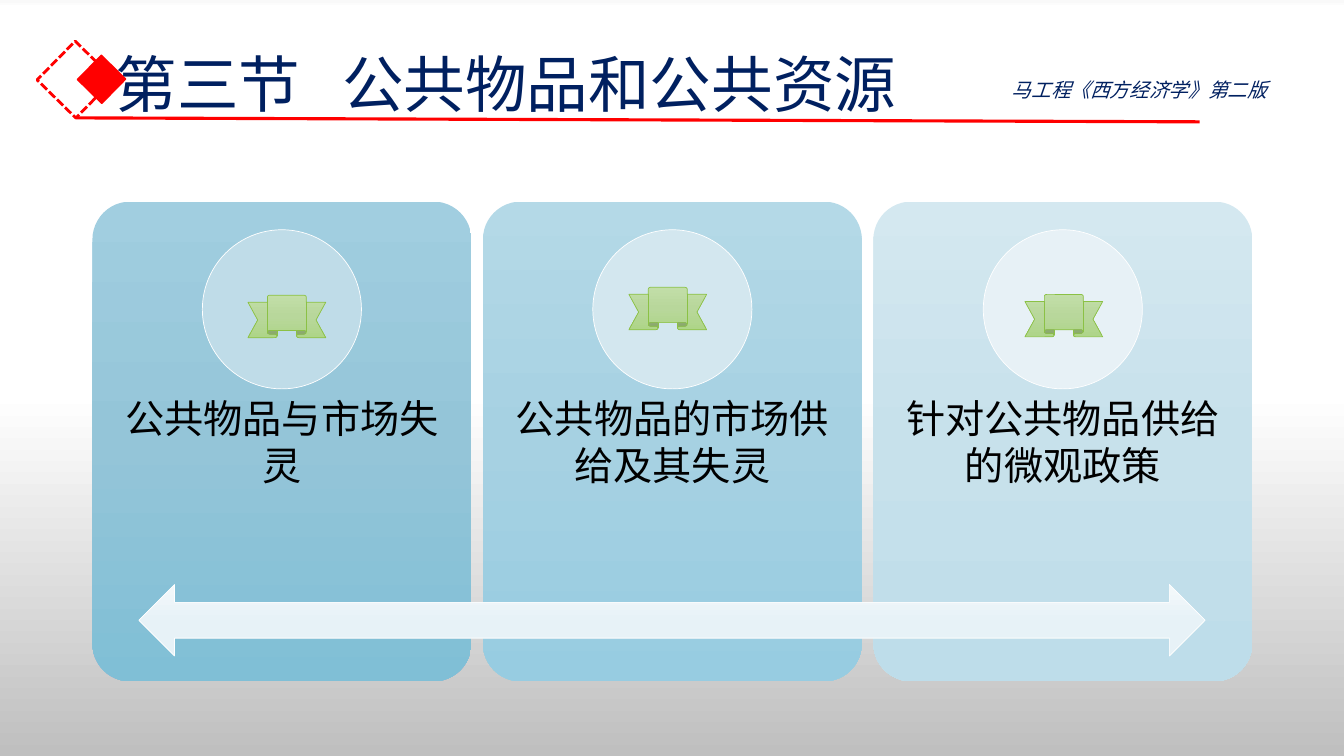
from lxml import etree
from pptx import Presentation
from pptx.dml.color import RGBColor
from pptx.enum.dml import MSO_LINE
from pptx.enum.shapes import MSO_CONNECTOR, MSO_SHAPE
from pptx.enum.text import MSO_ANCHOR, PP_ALIGN
from pptx.oxml.ns import qn
from pptx.util import Cm, Pt

ROUND, OVAL, RECT = MSO_SHAPE.ROUNDED_RECTANGLE, MSO_SHAPE.OVAL, MSO_SHAPE.RECTANGLE
ARROW, RIBBON = MSO_SHAPE.LEFT_RIGHT_ARROW, MSO_SHAPE.UP_RIBBON
DASH, STRAIGHT = MSO_LINE.SQUARE_DOT, MSO_CONNECTOR.STRAIGHT
TOP, MIDDLE = MSO_ANCHOR.TOP, MSO_ANCHOR.MIDDLE
LEFT, CENTER = PP_ALIGN.LEFT, PP_ALIGN.CENTER
CJK, LATIN = "Noto Sans CJK SC", "Calibri"

COLORS = {"navy": "002060", "red": "FF0000", "black": "000000",
          "white": "FFFFFF", "green": "8BC145"}
PAGE = [(0, "F9F9F9"), (1, "FFFFFF"), (52, "FFFFFF"), (100, "BFBFBF")]
ARROW_FILL = [(0, "F4F9FB"), (50, "E7F2F7"), (100, "E4F0F6")]
RIBBON_FILL = [(0, "C2DEA8"), (50, "B8D79B"), (100, "AED588")]

TITLE = "第三节\t公共物品和公共资源"
BOOK = "马工程《西方经济学》第二版"
CARDS = [
    {"text": "公共物品与市场失灵", "circle": "BFDCE8", "ribbon": (6.25, 7.44),
     "fill": [(0, "A1CEE0"), (50, "94C5D8"), (100, "80BFD6")]},
    {"text": "公共物品的市场供给及其失灵", "circle": "D3E7EF", "ribbon": (15.85, 7.24),
     "fill": [(0, "B4D9E7"), (50, "A6D1E2"), (100, "97CCE1")]},
    {"text": "针对公共物品供给的微观政策", "circle": "E7F1F6", "ribbon": (25.83, 7.42),
     "fill": [(0, "D4E8F0"), (50, "C7E1EB"), (100, "BEDDEA")]},
]
CARD_X, CARD_Y, CARD_W, CARD_H, CARD_STEP = 2.33, 5.08, 9.55, 12.09, 9.84
CIRCLE_Y, CIRCLE_D = 5.79, 4.01
CARD_INSET = 0.56


def rgb(value):
    return RGBColor.from_string(value)


def set_gradient(fill, element, stops):
    fill.gradient()
    fill.gradient_angle = 270
    gs_list = next(element.iter(qn("a:gsLst")))
    for gs in list(gs_list):
        gs_list.remove(gs)
    for pos, color in stops:
        gs = etree.SubElement(gs_list, qn("a:gs"), pos=str(pos * 1000))
        etree.SubElement(gs, qn("a:srgbClr"), val=color)


def add_shape(slide, kind, box, fill=None, line=None, width=0.5):
    sp = slide.shapes.add_shape(kind, *map(Cm, box))
    sp.shadow.inherit = False
    if isinstance(fill, list):
        set_gradient(sp.fill, sp._element, fill)
    elif fill:
        sp.fill.solid()
        sp.fill.fore_color.rgb = rgb(fill)
    else:
        sp.fill.background()
    if line:
        sp.line.color.rgb = rgb(line)
        sp.line.width = Pt(width)
    else:
        sp.line.fill.background()
    return sp


def add_text(slide, box, text, size, color, font=CJK, anchor=TOP, align=LEFT):
    sp = slide.shapes.add_textbox(*map(Cm, box))
    tf = sp.text_frame
    tf.word_wrap = True
    tf.vertical_anchor = anchor
    p = tf.paragraphs[0]
    p.text = text
    p.alignment = align
    r = p.runs[0]
    r.font.size = Pt(size)
    r.font.color.rgb = rgb(color)
    r.font.name = font
    etree.SubElement(r.font._element, qn("a:ea"), typeface=CJK)
    return tf


def add_heading(slide):
    tf = add_text(slide, (25.25, 1.85, 8.23, 0.86), BOOK, 14, COLORS["navy"])
    tf.paragraphs[0].runs[0].font.italic = True
    tf = add_text(slide, (2.67, 0.36, 29.21, 3.68), TITLE, 44, COLORS["navy"],
                  anchor=MIDDLE)
    p = tf.paragraphs[0]
    p.line_spacing = 0.9
    tabs = etree.SubElement(p._p.get_or_add_pPr(), qn("a:tabLst"))
    etree.SubElement(tabs, qn("a:tab"), pos=str(Cm(5.7)), algn="l")


def add_cards(slide):
    for i, card in enumerate(CARDS):
        x = CARD_X + i * CARD_STEP
        box = (x, CARD_Y, CARD_W, CARD_H)
        sp = add_shape(slide, ROUND, box, card["fill"])
        sp.adjustments[0] = 0.1
        tf = add_text(slide, box, card["text"], 28, COLORS["black"], LATIN, MIDDLE, CENTER)
        tf.margin_left = tf.margin_right = Cm(CARD_INSET)
        tf.margin_top = tf.margin_bottom = Cm(CARD_INSET)
        circle_x = x + (CARD_W - CIRCLE_D) / 2
        add_shape(slide, OVAL, (circle_x, CIRCLE_Y, CIRCLE_D, CIRCLE_D),
                  card["circle"], COLORS["white"])
    add_shape(slide, ARROW, (3.5, 14.73, 26.87, 1.8), ARROW_FILL, COLORS["white"])
    for card in CARDS:
        add_shape(slide, RIBBON, (*card["ribbon"], 1.96, 1.07), RIBBON_FILL, COLORS["green"])


def add_ornament(slide):
    red = COLORS["red"]
    outline = add_shape(slide, RECT, (1.22, 1.32, 1.37, 1.37), None, red, 2)
    outline.line.dash_style = DASH
    solid = add_shape(slide, RECT, (2.13, 1.57, 0.86, 0.86), red, red, 1)
    outline.rotation = solid.rotation = 314.5
    rule = slide.shapes.add_connector(STRAIGHT, Cm(1.9), Cm(2.97), Cm(30.23), Cm(3.07))
    rule.line.color.rgb = rgb(red)
    rule.line.width = Pt(2.25)
    etree.SubElement(rule._element.spPr, qn("a:effectLst"))


def main():
    """Build the section overview slide with three topic cards."""
    prs = Presentation()
    prs.slide_width, prs.slide_height = Cm(33.87), Cm(19.05)
    slide = prs.slides.add_slide(prs.slide_layouts[6])
    set_gradient(slide.background.fill, slide._element, PAGE)
    add_heading(slide)
    add_cards(slide)
    add_ornament(slide)
    prs.save("out.pptx")


if __name__ == "__main__":
    main()
